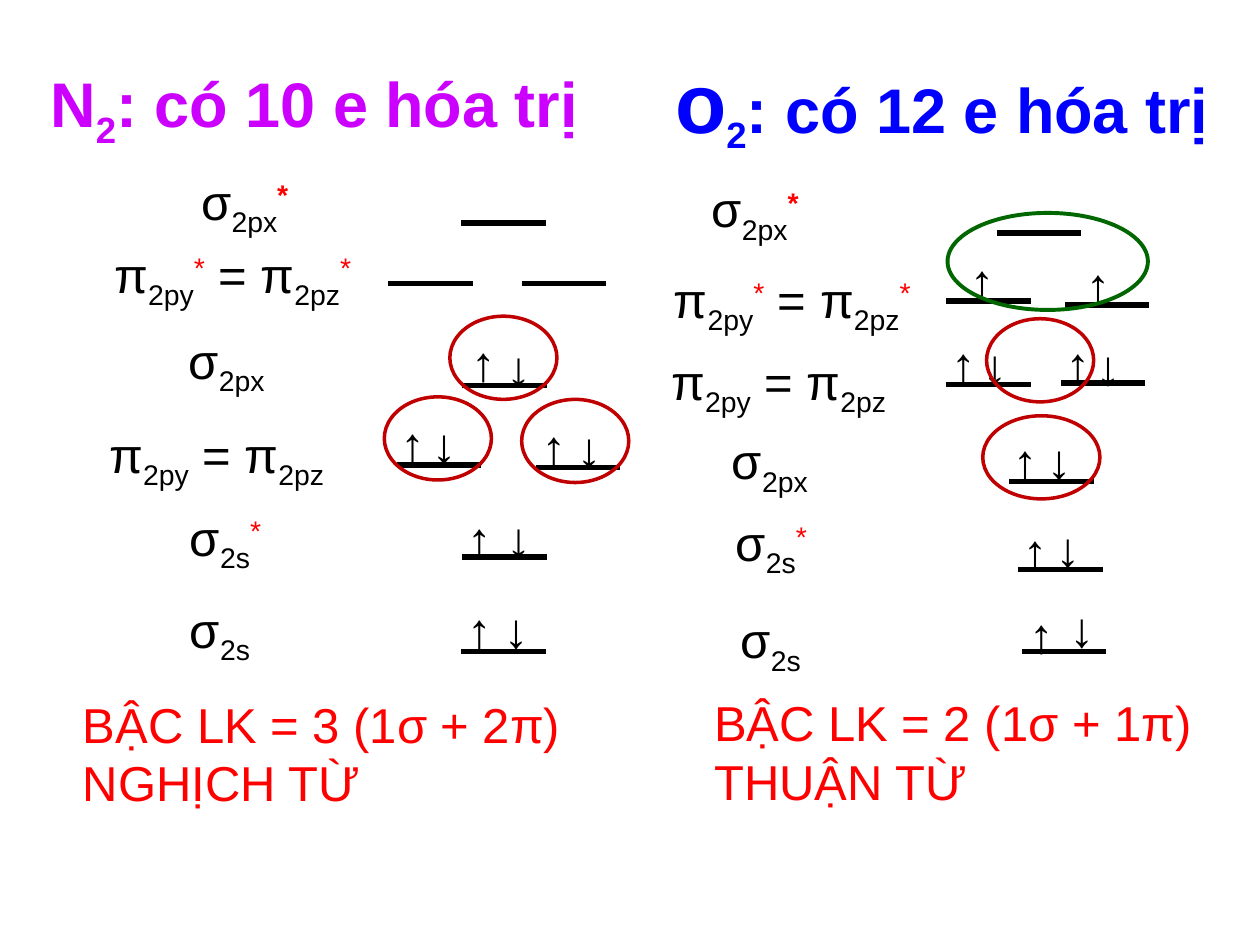
from pptx import Presentation, util as u
from pptx.dml.color import RGBColor
from pptx.enum import shapes, text
from pptx.oxml.ns import qn
from lxml import etree

BLACK = RGBColor(0x00, 0x00, 0x00)
RED = RGBColor(0xFF, 0x00, 0x00)
DARK_RED = RGBColor(0xC0, 0x00, 0x00)
GREEN = RGBColor(0x00, 0x66, 0x00)
PURPLE = RGBColor(0xCC, 0x00, 0xFF)
BLUE = RGBColor(0x00, 0x00, 0xFF)
SUB, SUPER = -25000, 30000
LEVEL_WIDTH = 0.67


def add_run(p, content, size=28, color=BLACK, bold=False, baseline=0):
    """Append one formatted run to a paragraph."""
    r = p.add_run()
    r.text = content
    r.font.name, r.font.size, r.font.bold = "Arial", u.Pt(size), bold
    r.font.color.rgb = color
    if baseline:
        r._r.get_or_add_rPr().set("baseline", str(baseline))


def fill_text(sp, lines, **fmt):
    """Write lines of (text, format) runs, left-aligned from the top."""
    tf = sp.text_frame
    tf.word_wrap = True
    tf.auto_size = text.MSO_AUTO_SIZE.SHAPE_TO_FIT_TEXT
    tf.vertical_anchor = text.MSO_ANCHOR.TOP
    for i, runs in enumerate(lines):
        p = tf.add_paragraph() if i else tf.paragraphs[0]
        p.alignment = text.PP_ALIGN.LEFT
        for content, own in runs:
            add_run(p, content, **{**fmt, **own})


def add_text(s, x, y, w, h, lines, **fmt):
    """Add a text box with formatted lines."""
    sp = s.shapes.add_textbox(u.Inches(x), u.Inches(y), u.Inches(w), u.Inches(h))
    fill_text(sp, lines, **fmt)


def orbital(symbol, sub, star=False, bold_star=False):
    """Return the runs of an orbital name such as σ with index and star."""
    runs = [(symbol, {}), (sub, dict(baseline=SUB))]
    if star:
        runs.append(("*", dict(baseline=SUPER, color=RED, bold=bold_star)))
    return runs


def pi_pair(star=False):
    """Return the runs of the two equal π orbitals."""
    return orbital("π", "2py", star) + orbital(" = π", "2pz", star)


ORBITALS = {
    "σ2px*": (orbital("σ", "2px", True, True), 1.17, 0.63),
    "π*": (pi_pair(True), 2.33, 1.1),
    "σ2px": (orbital("σ", "2px"), 1.17, 0.63),
    "π": (pi_pair(), 2.33, 1.16),
    "σ2s*": (orbital("σ", "2s", True), 1.17, 0.63),
    "σ2s": (orbital("σ", "2s"), 1.17, 0.63),
}


def add_level(s, left, top, x, y, up=None, down=None):
    """Draw one energy level and its electron arrows."""
    x, y = left + x, top + y
    line = s.shapes.add_connector(shapes.MSO_CONNECTOR.STRAIGHT, u.Inches(x), u.Inches(y),
                                  u.Inches(x + LEVEL_WIDTH), u.Inches(y))
    line.line.color.rgb, line.line.width = BLACK, u.Pt(3)
    etree.SubElement(line._element.spPr, qn("a:effectLst"))
    for arrow, at in (("↑", up), ("↓", down)):
        if at:
            add_text(s, left + at[0], top + at[1], 0.67, 0.57, [[(arrow, {})]], bold=True)


def add_ring(s, x, y, w, h, color=DARK_RED, width=2):
    """Draw an unfilled ellipse around electrons."""
    sp = s.shapes.add_shape(shapes.MSO_SHAPE.OVAL, *map(u.Inches, (x, y, w, h)))
    sp.shadow.inherit = False
    sp.fill.background()
    sp.line.color.rgb, sp.line.width = color, u.Pt(width)


def add_diagram(s, left, top, labels, levels, rings, result):
    """Draw one molecule's orbitals, levels, rings and conclusion."""
    for name, (x, y) in labels.items():
        runs, w, h = ORBITALS[name]
        add_text(s, left + x, top + y, w, h, [runs])
    for level in levels:
        add_level(s, left, top, *level)
    for x, y, *rest in rings:
        add_ring(s, left + x, top + y, *rest)
    x, y, lines = result
    add_text(s, left + x, top + y, 5.33, 1.04, [[(line, {})] for line in lines], color=RED)


def add_headings(s):
    """Place the headings of both molecules."""
    title = s.shapes.title
    title.left, title.top, title.width, title.height = map(u.Inches, (0.3, 0.46, 4.51, 0.79))
    index = ("2", dict(baseline=SUB))
    fill_text(title, [[("N", {}), index, (": có 10 e hóa trị", {})]],
              size=36, color=PURPLE, bold=True)
    add_text(s, 5.26, 0.34, 4.51, 0.95,
             [[("o", dict(size=48)), index, (": có 12 e hóa trị", {})]],
             size=36, color=BLUE, bold=True)


NITROGEN = dict(
    labels={"σ2px*": (1.5, 1.31), "π*": (0.81, 1.89), "σ2px": (1.4, 2.57),
            "π": (0.77, 3.32), "σ2s*": (1.41, 3.98), "σ2s": (1.41, 4.71)},
    levels=[(3.66, 1.77), (3.08, 2.25), (4.14, 2.25),
            (3.67, 3.06, (3.64, 2.59), (3.92, 2.63)),
            (3.15, 3.69, (3.08, 3.23), (3.33, 3.24)),
            (4.25, 3.71, (4.2, 3.26), (4.48, 3.27)),
            (3.67, 4.42, (3.61, 3.99), (3.92, 3.99)),
            (3.66, 5.17, (3.61, 4.71), (3.9, 4.71))],
    rings=[(3.57, 2.51, 0.85, 0.66), (4.14, 3.17, 0.85, 0.66), (3.05, 3.15, 0.85, 0.66)],
    result=(0.56, 5.46, ["BẬC LK = 3 (1σ + 2π)", "NGHỊCH TỪ"]),
)
OXYGEN = dict(
    labels={"σ2px*": (0.55, 1.37), "π*": (0.25, 2.09), "π": (0.23, 2.74),
            "σ2px": (0.71, 3.37), "σ2s*": (0.74, 4.02), "σ2s": (0.78, 4.79)},
    levels=[(2.91, 1.85),
            (2.51, 2.39, (2.6, 1.94)), (3.45, 2.42, (3.52, 1.97)),
            (2.51, 3.05, (2.45, 2.6), (2.7, 2.61)),
            (3.42, 3.04, (3.36, 2.6), (3.6, 2.62)),
            (3.01, 3.82, (2.94, 3.37), (3.21, 3.37)),
            (3.08, 4.52, (3.02, 4.08), (3.28, 4.07)),
            (3.11, 5.17, (3.07, 4.75), (3.39, 4.7))],
    rings=[(2.8, 3.3, 0.93, 0.66), (2.83, 2.53, 0.85, 0.66),
           (2.52, 1.69, 1.59, 0.77, GREEN, 2.25)],
    result=(0.57, 5.45, ["BẬC LK = 2 (1σ + 1π)", "THUẬN TỪ"]),
)


def main():
    """Build and save the slide."""
    prs = Presentation()
    prs.slide_width, prs.slide_height = u.Inches(10), u.Inches(7.5)
    s = prs.slides.add_slide(prs.slide_layouts[5])
    add_headings(s)
    add_diagram(s, 0, 0, **NITROGEN)
    add_diagram(s, 5, 0, **OXYGEN)
    prs.save("out.pptx")


if __name__ == "__main__":
    main()
